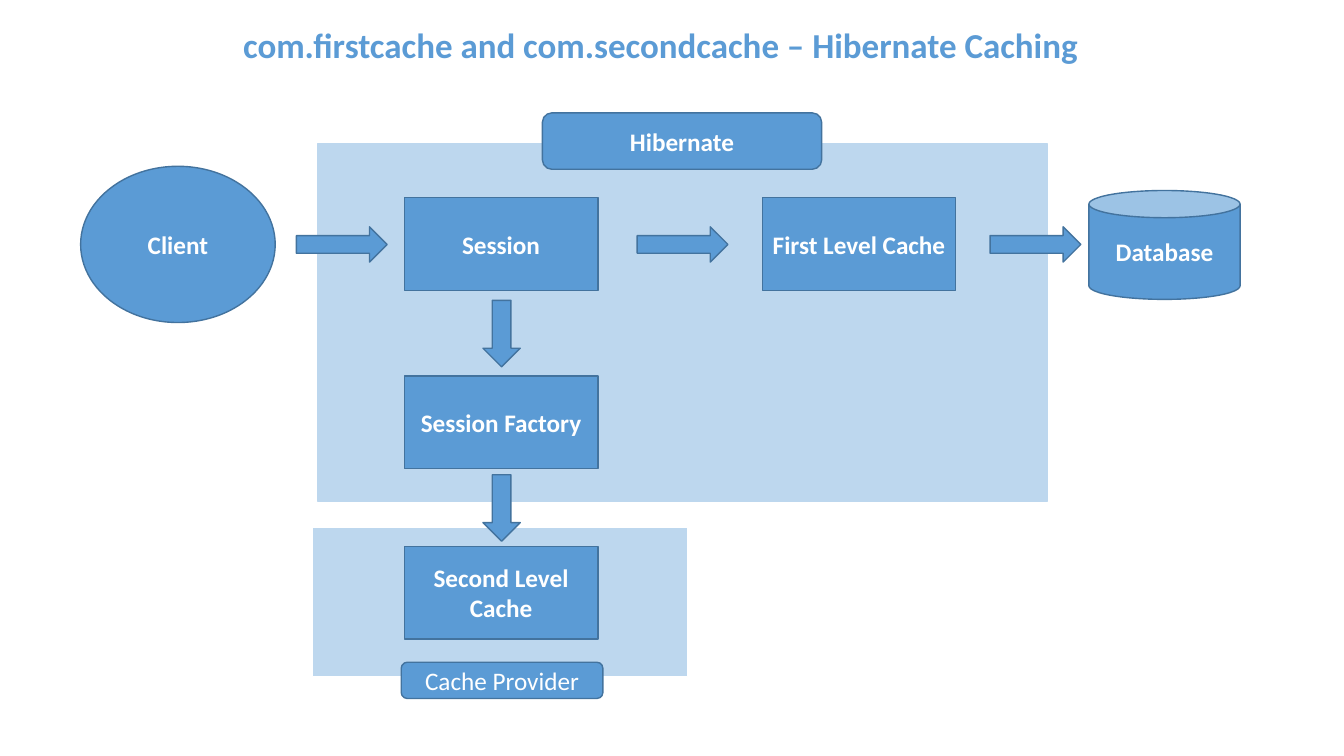
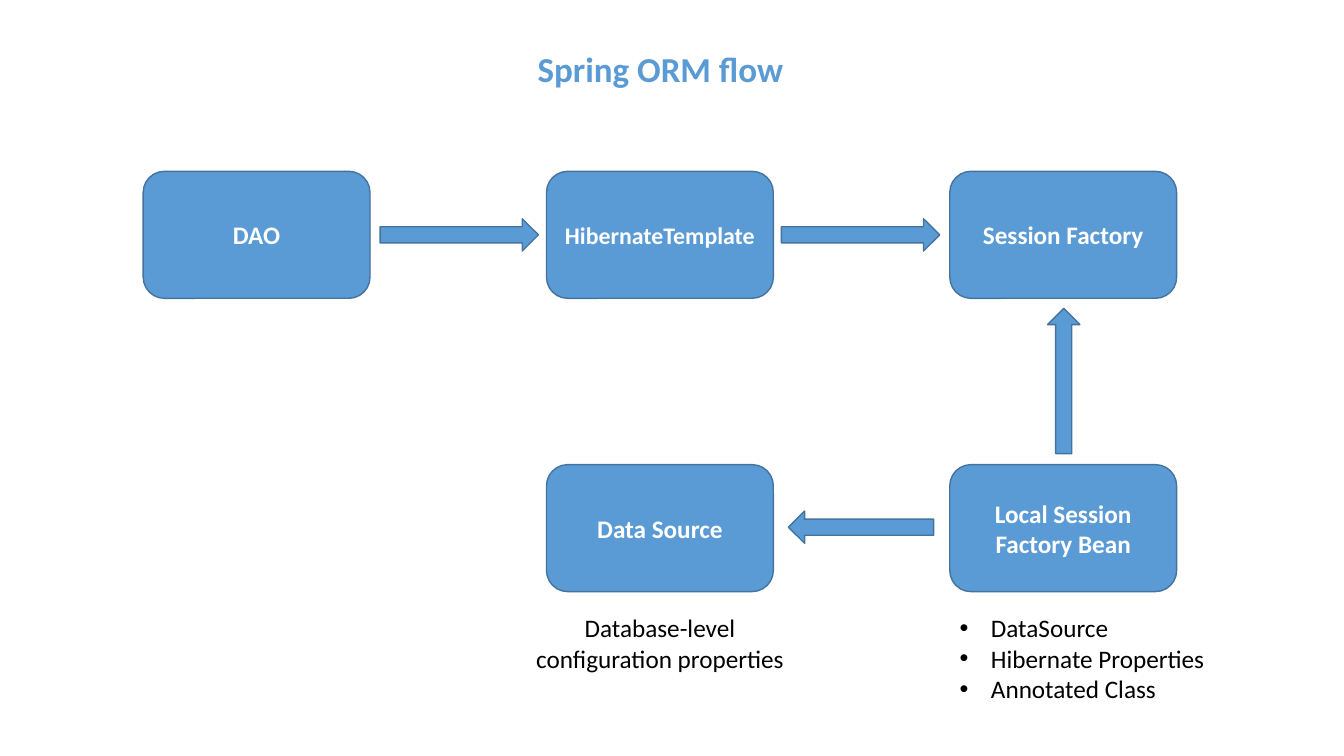
from lxml.etree import SubElement
from pptx import Presentation
from pptx.dml.color import RGBColor
from pptx.enum.shapes import MSO_SHAPE as Kind
from pptx.enum.text import MSO_ANCHOR as Anchor, MSO_AUTO_SIZE as Fit, PP_ALIGN as Align
from pptx.oxml.ns import qn
from pptx.util import Inches, Pt

BLUE = RGBColor(0x5B, 0x9B, 0xD5)
EDGE = RGBColor(0x43, 0x73, 0x9E)
PALE = RGBColor(0xBD, 0xD7, 0xEE)
WHITE = RGBColor(0xFF, 0xFF, 0xFF)
BLACK = RGBColor(0, 0, 0)
FONT = "Calibri"


def write(par, text, size=18, color=WHITE, bold=False, align=Align.CENTER):
    """Add one formatted run to a paragraph."""
    par.alignment = align
    run = par.add_run()
    run.text = text
    run.font.name = FONT
    run.font.size = Pt(size)
    run.font.bold = bold
    run.font.color.rgb = color


def block(slide, kind, box, fill=BLUE, edge=EDGE, turn=0):
    """Add a filled and outlined shape."""
    shape = slide.shapes.add_shape(kind, *map(Inches, box))
    shape.shadow.inherit = False
    shape.fill.solid()
    shape.fill.fore_color.rgb = fill
    shape.line.color.rgb = edge
    shape.line.width = Pt(1)
    shape.rotation = turn
    return shape


def node(slide, kind, box, text, size=18, bold=True):
    """Add a labelled block."""
    frame = block(slide, kind, box).text_frame
    frame.word_wrap = True
    frame.vertical_anchor = Anchor.MIDDLE
    frame.margin_left = frame.margin_right = Inches(0.08)
    write(frame.paragraphs[0], text, size, bold=bold)


def note(slide, box, lines, bullet=False):
    """Add plain black text, with bullets if asked."""
    frame = slide.shapes.add_textbox(*map(Inches, box)).text_frame
    frame.word_wrap = True
    frame.auto_size = Fit.SHAPE_TO_FIT_TEXT
    for num, line in enumerate(lines):
        par = frame.add_paragraph() if num else frame.paragraphs[0]
        write(par, line, color=BLACK, align=Align.LEFT if bullet else Align.CENTER)
        if bullet:
            props = par._p.get_or_add_pPr()
            props.set("marL", str(Inches(0.31)))
            props.set("indent", str(Inches(-0.31)))
            SubElement(props, qn("a:buFont"), typeface="Arial")
            SubElement(props, qn("a:buChar"), char="•")


def page(deck, text, top):
    """Add a slide with a centred title at the given height."""
    slide = deck.slides.add_slide(deck.slide_layouts[5])
    title = slide.shapes.title
    title.left, title.top = Inches(0.8), Inches(top)
    title.width, title.height = Inches(11.5), Inches(1.45)
    frame = title.text_frame
    frame.word_wrap = True
    frame.auto_size = Fit.NONE
    frame.vertical_anchor = Anchor.MIDDLE
    par = frame.paragraphs[0]
    par.line_spacing = 0.9
    write(par, text, 25, BLUE, True)
    return slide


def vendor(slide, box):
    """Draw the cache provider panel."""
    left, top, wide, high = box
    block(slide, Kind.RECTANGLE, box, PALE, WHITE)
    node(slide, Kind.RECTANGLE, (left + 0.91, top + 0.19, 1.92, 0.92), "Second Level Cache")
    node(slide, Kind.ROUNDED_RECTANGLE, (left + 0.88, top + high - 0.14, 2, 0.36),
         "Cache Provider", bold=False)


def engine(slide, box):
    """Draw the Hibernate panel with its boxes and arrows."""
    left, top, wide, high = box
    block(slide, Kind.RECTANGLE, box, PALE, PALE)
    for dx, dy, text in ((0.86, 0.53, "Session"), (0.86, 2.3, "Session Factory"),
                         (4.41, 0.53, "First Level Cache")):
        node(slide, Kind.RECTANGLE, (left + dx, top + dy, 1.92, 0.92), text)
    for dx in (-0.21, 3.17, 6.67):
        block(slide, Kind.RIGHT_ARROW, (left + dx, top + 0.82, 0.9, 0.35))
    for dy in (1.55, 3.28):
        block(slide, Kind.DOWN_ARROW, (left + 1.64, top + dy, 0.37, 0.66))
    node(slide, Kind.ROUNDED_RECTANGLE, (left + 2.23, top - 0.31, 2.77, 0.56), "Hibernate")


def caching(deck):
    """Build the caching slide."""
    slide = page(deck, "com.firstcache and com.secondcache – Hibernate Caching", -0.26)
    vendor(slide, (3.1, 5.23, 3.72, 1.48))
    engine(slide, (3.15, 1.43, 7.24, 3.54))
    node(slide, Kind.OVAL, (0.8, 1.65, 1.93, 1.55), "Client")
    node(slide, Kind.CAN, (10.8, 1.89, 1.5, 1.08), "Database")


def chart(slide, box):
    """Draw the flow on a grid of three columns and two rows."""
    left, top, wide, high = box
    cell, tall = 2.25, 1.26
    step, drop = (wide - cell) / 2, high - tall
    for col, row, text, size in ((0, 0, "DAO", 18), (1, 0, "HibernateTemplate", 17),
                                 (2, 0, "Session Factory", 18),
                                 (2, 1, "Local Session Factory Bean", 18),
                                 (1, 1, "Data Source", 18)):
        node(slide, Kind.ROUNDED_RECTANGLE,
             (left + col * step, top + row * drop, cell, tall), text, size)
    for dx, dy, span, turn in ((2.35, 0.47, 1.57, 0), (6.33, 0.47, 1.57, 0),
                               (8.41, 1.92, 1.44, 270), (6.4, 3.37, 1.44, 180)):
        block(slide, Kind.RIGHT_ARROW, (left + dx, top + dy, span, 0.32), turn=turn)
    base = top + high + 0.16
    note(slide, (left + step - 0.3, base, 2.85, 0.71),
         ["Database-level configuration properties"])
    note(slide, (left + 2 * step, base, 2.85, 1.01),
         ["DataSource", "Hibernate Properties", "Annotated Class"], True)


def flow(deck):
    """Build the flow slide."""
    slide = page(deck, "Spring ORM flow", -0.02)
    chart(slide, (1.42, 1.7, 10.25, 4.17))


def main():
    """Build and save the deck."""
    deck = Presentation()
    deck.slide_width, deck.slide_height = Inches(13.33), Inches(7.5)
    caching(deck)
    flow(deck)
    deck.save("out.pptx")


main()
